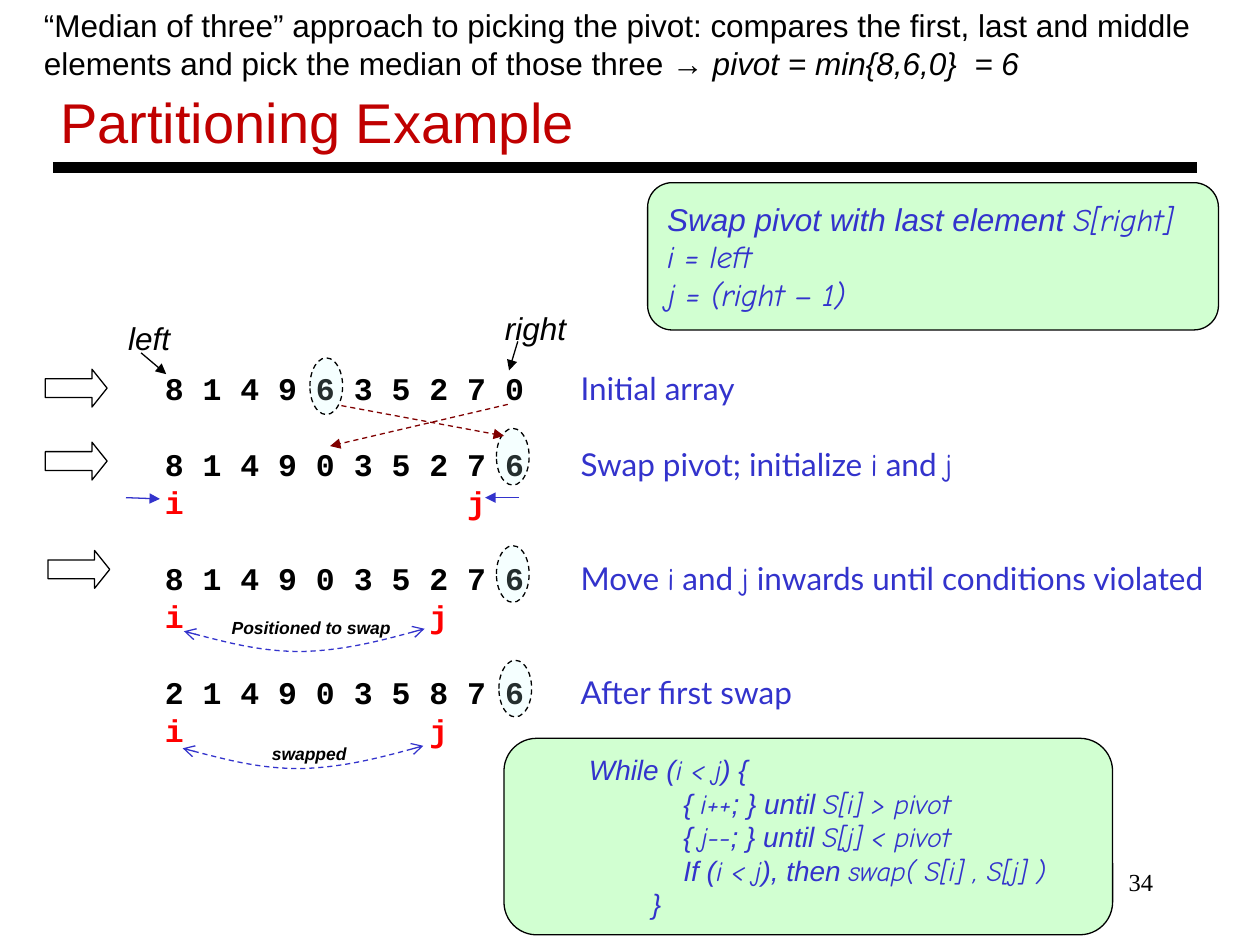
from lxml import etree
from pptx import Presentation
from pptx.dml.color import RGBColor
from pptx.enum import dml, shapes, text
from pptx.oxml import ns
from pptx.util import Pt

COLORS = {"black": "000000", "title": "C00000", "blue": "3333CC", "red": "FF0000",
          "maroon": "800000", "mint": "CCFFCC", "cyan": "CCFFFF"}
SANS, COMIC, MONO, LABEL = "Arial", "Comic Neue", "Courier New", "Lato"
CELL = 21.6
LINE_HEIGHT = 21.7


def color(name):
    return RGBColor.from_string(COLORS[name])


def child(parent, tag, **attributes):
    return etree.SubElement(parent, ns.qn(tag), **attributes)


def add_run(paragraph, words, font, size, hue="black", bold=False, italic=False):
    run = paragraph.add_run()
    run.text = words
    run.font.name, run.font.size = font, Pt(size)
    run.font.bold, run.font.italic = bold, italic
    run.font.color.rgb = color(hue)


def add_textbox(slide, box, wrap=True):
    frame = slide.shapes.add_textbox(*map(Pt, box)).text_frame
    frame.word_wrap = wrap
    return frame


def style_line(line, hue="black", width=0.75, dashed=False, head=None, tail=None):
    line.color.rgb = color(hue)
    line.width = Pt(width)
    if dashed:
        line.dash_style = dml.MSO_LINE.DASH
    for tag, kind in (("a:headEnd", head), ("a:tailEnd", tail)):
        if kind:
            child(line._get_or_add_ln(), tag, type=kind)


def add_line(container, start, end, **style):
    connector = container.shapes.add_connector(
        shapes.MSO_CONNECTOR.STRAIGHT, *map(Pt, (*start, *end)))
    style_line(connector.line, **style)
    child(connector._element.spPr, "a:effectLst")


def add_outlined_shape(slide, kind, box, fill=None, opacity=100, dashed=False):
    shape = slide.shapes.add_shape(kind, *map(Pt, box))
    shape.shadow.inherit = False
    if fill:
        shape.fill.solid()
        shape.fill.fore_color.rgb = color(fill)
        tint = shape._element.spPr.find(".//" + ns.qn("a:srgbClr"))
        child(tint, "a:alpha", val=str(opacity * 1000))
    else:
        shape.fill.background()
    style_line(shape.line, dashed=dashed)
    return shape


def add_header(slide, box):
    left, top, width, height = box
    paragraph = add_textbox(slide, box).paragraphs[0]
    add_run(paragraph, "“Median of three” approach to picking the pivot: compares the first, "
            "last and middle elements and pick the median of those three → ", SANS, 18)
    add_run(paragraph, "pivot = min{8,6,0}  = 6", SANS, 18, italic=True)


def add_title(slide, box):
    left, top, width, height = box
    add_line(slide, (left + 2.8, top + 59.8), (left + 656.6, top + 59.8), width=6)
    frame = add_textbox(slide, box)
    frame.vertical_anchor = text.MSO_ANCHOR.MIDDLE
    add_run(frame.paragraphs[0], "Partitioning Example", SANS, 32, "title")


def add_array_steps(slide, box):
    steps = [
        ("8 1 4 9 6 3 5 2 7 0", [("Initial array", LABEL)], None),
        ("8 1 4 9 0 3 5 2 7 6", [("Swap pivot; initialize ", LABEL), ("i", COMIC),
                                 (" and ", LABEL), ("j", COMIC)], 8),
        ("8 1 4 9 0 3 5 2 7 6", [("Move ", LABEL), ("i", COMIC), (" and ", LABEL), ("j", COMIC),
                                 (" inwards until conditions violated", LABEL)], 7),
        ("2 1 4 9 0 3 5 8 7 6", [("After first swap", LABEL)], 7),
    ]
    frame = add_textbox(slide, box)
    frame.margin_top = Pt(5)

    def add_row(paragraph, gap, stop):
        paragraph.line_spacing = Pt(LINE_HEIGHT)
        paragraph.space_before = Pt(gap)
        tabs = child(paragraph._p.get_or_add_pPr(), "a:tabLst")
        child(tabs, "a:tab", pos=str(Pt(stop * CELL)), algn="l")
        return paragraph

    for number, (values, caption, j_cell) in enumerate(steps):
        paragraph = frame.add_paragraph() if number else frame.paragraphs[0]
        add_row(paragraph, LINE_HEIGHT if number else 0, 11)
        add_run(paragraph, values + "\t", MONO, 18, bold=True)
        for words, font in caption:
            add_run(paragraph, words, font, 18, "blue")
        if j_cell:
            indices = add_row(frame.add_paragraph(), 0, j_cell)
            add_run(indices, "i\tj", MONO, 18, "red", bold=True)


def add_step_marks(slide, box):
    left, top, width, height = box
    for x, y in ((90, -1.4), (196.6, 38.9), (196.6, 105.9), (198, 171.4)):
        add_outlined_shape(slide, shapes.MSO_SHAPE.OVAL, (left + x, top + y, 18.7, 32.4),
                           "cyan", 18, dashed=True)
    for x, y in ((-61.2, 5.1), (-61.2, 46.8), (-59.7, 108.7)):
        arrow = add_outlined_shape(slide, shapes.MSO_SHAPE.RIGHT_ARROW,
                                   (left + x, top + y, 35.3, 21.6))
        arrow.adjustments[1] = 0.4
    crossing = slide.shapes.add_group_shape()
    for start, end in (((108, 25.9), (200.9, 43.2)), ((203.1, 25.2), (101.5, 49))):
        add_line(crossing, (left + start[0], top + start[1]), (left + end[0], top + end[1]),
                 hue="maroon", dashed=True, tail="triangle")
    for start, end in (((209.5, 78.5), (190.1, 78.5)), ((-15.1, 78.5), (4.3, 79.2))):
        add_line(slide, (left + start[0], top + start[1]), (left + end[0], top + end[1]),
                 hue="blue", tail="triangle")


def add_swap_arc(slide, box, caption, caption_box):
    left, top, width, height = box
    points = [(0.16, 0.55), (0.32, 1), (0.49, 1), (0.66, 0.95), (0.83, 0.5), (1, 0)]
    builder = slide.shapes.build_freeform(Pt(left), Pt(top + 0.11 * height))
    builder.add_line_segments([(Pt(left + x * width), Pt(top + y * height)) for x, y in points],
                              close=False)
    arc = builder.convert_to_shape()
    arc.shadow.inherit = False
    arc.fill.background()
    style_line(arc.line, "blue", dashed=True, head="arrow", tail="arrow")
    segments = list(arc._element.iter(ns.qn("a:lnTo")))
    outline = segments[0].getparent()
    for first in range(0, len(segments), 3):
        curve = child(outline, "a:cubicBezTo")
        for segment in segments[first:first + 3]:
            curve.append(segment[0])
            outline.remove(segment)
    paragraph = add_textbox(slide, caption_box, wrap=False).paragraphs[0]
    add_run(paragraph, caption, SANS, 10, bold=True, italic=True)


def add_pointer(slide, box, words, start, end):
    left, top, width, height = box
    add_line(slide, (left + start[0], top + start[1]), (left + end[0], top + end[1]),
             tail="triangle")
    add_run(add_textbox(slide, box).paragraphs[0], words, SANS, 18, italic=True)


def add_code_panel(slide, box, size, lines):
    panel = add_outlined_shape(slide, shapes.MSO_SHAPE.ROUNDED_RECTANGLE, box, "mint", 90)
    frame = panel.text_frame
    frame.word_wrap = True
    frame.vertical_anchor = text.MSO_ANCHOR.MIDDLE
    for number, (margin, indent, runs) in enumerate(lines):
        paragraph = frame.add_paragraph() if number else frame.paragraphs[0]
        paragraph.alignment = text.PP_ALIGN.LEFT
        properties = paragraph._p.get_or_add_pPr()
        properties.set("marL", str(Pt(margin)))
        properties.set("indent", str(Pt(indent)))
        for words, font in runs:
            add_run(paragraph, words, font, size, "blue", italic=True)


def add_page_number(slide, box):
    paragraph = add_textbox(slide, box).paragraphs[0]
    paragraph.alignment = text.PP_ALIGN.RIGHT
    add_run(paragraph, "34", "Times New Roman", 14)


def main():
    presentation = Presentation()
    presentation.slide_width, presentation.slide_height = Pt(720), Pt(540)
    slide = presentation.slides.add_slide(presentation.slide_layouts[6])
    steps_box = (87.1, 205.9, 614.9, 225.4)
    add_title(slide, (27.4, 36, 632, 66))
    add_array_steps(slide, steps_box)
    add_step_marks(slide, steps_box)
    add_swap_arc(slide, (105.1, 359.3, 137.5, 13), "Positioned to swap", (125.3, 349.2, 106.6, 19.4))
    add_swap_arc(slide, (104.4, 426.2, 137.5, 13), "swapped", (148.3, 421.2, 57.6, 19.4))
    add_code_panel(slide, (370.1, 104.4, 326.2, 84.2), 18, [
        (0, 0, [("Swap pivot with last element ", SANS), ("S[right]", COMIC)]),
        (0, 0, [("i = left", COMIC)]),
        (0, 0, [("j = (right – 1)", COMIC)])])
    add_pointer(slide, (66.2, 178.6, 40, 28.8), "left", (14.4, 23), (28.8, 35.2))
    add_pointer(slide, (281.5, 172.8, 52.6, 28.8), "right", (14.4, 22.3), (9.4, 38.9))
    add_code_panel(slide, (288, 421.9, 347.8, 112.3), 16, [
        (58.3, -22.3, [("While (", SANS), ("i < j", COMIC), (") {", SANS)]),
        (90, -18, [("\t{ ", SANS), ("i++", COMIC), ("; } until ", SANS), ("S[i] > pivot", COMIC)]),
        (90, -18, [("\t{ ", SANS), ("j--", COMIC), ("; } until ", SANS), ("S[j] < pivot", COMIC)]),
        (90, -18, [("\tIf (", SANS), ("i < j", COMIC), ("), then ", SANS),
                   ("swap( S[i] , S[j] )", COMIC)]),
        (90, -18, [("}", SANS)])])
    add_header(slide, (18, 0, 704, 72.7))
    add_page_number(slide, (516.2, 491.8, 149.8, 36))
    presentation.save("out.pptx")


if __name__ == "__main__":
    main()
